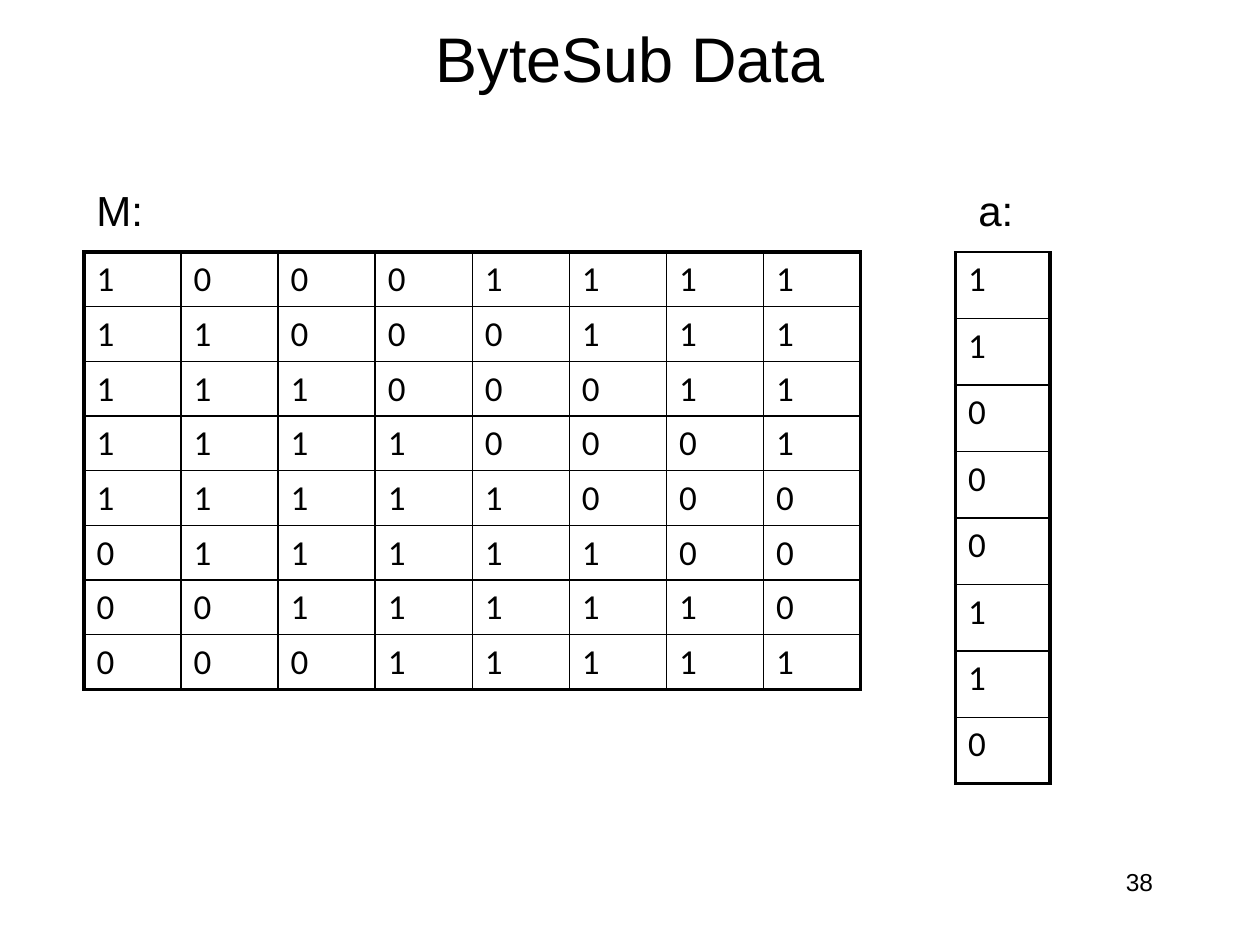
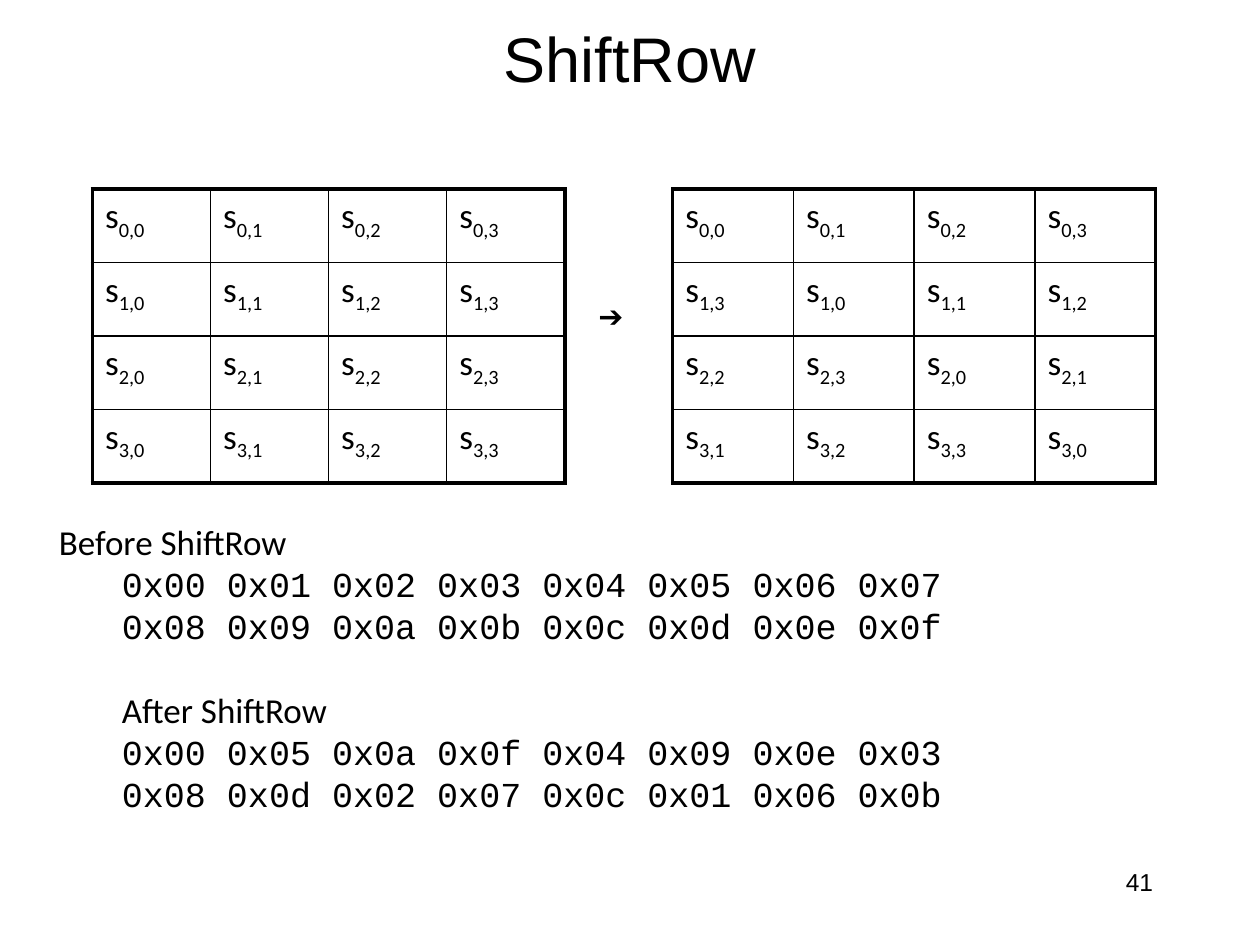
import pptx
import pptx.util
import pptx.dml.color
import pptx.enum.text
import pptx.oxml.ns
from lxml import etree

Pt = pptx.util.Pt
qn = pptx.oxml.ns.qn
align = pptx.enum.text.PP_ALIGN
hues = {"ink": "000000", "page": "FFFFFF"}
thin, thick = 1, 2.25


def style(para, face, size):
    para.font.name = face
    para.font.size = Pt(size)
    para.font.color.rgb = pptx.dml.color.RGBColor.from_string(hues["ink"])


def add_grid(slide, left, top, wide, high, rows, head=thick):
    """Draw a ruled table; a cell is a tuple of base text and optional subscript."""
    last, end = len(rows) - 1, len(rows[0]) - 1
    table = slide.shapes.add_table(
        last + 1, end + 1, Pt(left), Pt(top),
        Pt(wide * (end + 1)), Pt(high * (last + 1))).table
    table.first_row = table.horz_banding = False
    for col in table.columns:
        col.width = Pt(wide)
    for r, row in enumerate(rows):
        table.rows[r].height = Pt(high)
        for c, parts in enumerate(row):
            cell = table.cell(r, c)
            # Borders: heavy outside, light inside
            sides = {"lnL": thick if c == 0 else thin,
                     "lnR": thick if c == end else thin,
                     "lnT": head if r == 0 else thin,
                     "lnB": thick if r == last else thin}
            props = cell._tc.get_or_add_tcPr()
            for side, width in sides.items():
                line = etree.SubElement(props, qn("a:" + side), w=str(Pt(width)))
                fill = etree.SubElement(line, qn("a:solidFill"))
                etree.SubElement(fill, qn("a:srgbClr"), val=hues["ink"])
            cell.fill.background()
            # Text, with the second part lowered
            para = cell.text_frame.paragraphs[0]
            style(para, "Calibri", 20)
            for n, part in enumerate(parts):
                run = para.add_run()
                run.text = part
                if n:
                    run.font._element.set("baseline", "-25000")


deck = pptx.Presentation()
deck.slide_width, deck.slide_height = Pt(720), Pt(540)

# Shared parts: background, title, page number
slides = []
for name, page, top, high in [("ByteSub Data", "38", 0, 66),
                              ("ShiftRow", "41", 6, 54)]:
    slide = deck.slides.add_slide(deck.slide_layouts[5])
    slides.append(slide)
    back = slide.background.fill
    back.solid()
    back.fore_color.rgb = pptx.dml.color.RGBColor.from_string(hues["page"])

    title = slide.shapes.title
    title.left, title.top, title.width, title.height = Pt(54), Pt(top), Pt(612), Pt(high)
    frame = title.text_frame
    frame.text = name
    frame.auto_size = pptx.enum.text.MSO_AUTO_SIZE.NONE
    frame.vertical_anchor = pptx.enum.text.MSO_ANCHOR.MIDDLE
    frame.paragraphs[0].alignment = align.CENTER
    style(frame.paragraphs[0], "Arial", 36)

    frame = slide.shapes.add_textbox(Pt(516), Pt(492), Pt(150), Pt(36)).text_frame
    frame.word_wrap = True
    frame.text = page
    frame.paragraphs[0].alignment = align.RIGHT
    style(frame.paragraphs[0], "Arial", 14)

sub, shift = slides

# ByteSub: labels over the matrix and the vector
frame = sub.shapes.add_textbox(Pt(48), Pt(102), Pt(618), Pt(36)).text_frame
frame.word_wrap = True
para = frame.paragraphs[0]
para.text = "M:\ta:"
tabs = etree.SubElement(para._p.get_or_add_pPr(), qn("a:tabLst"))
etree.SubElement(tabs, qn("a:tab"), pos=str(Pt(504)), algn="l")
style(para, "Arial", 24)

# ByteSub: each matrix row is the first one rotated right
first = "10001111"
bits = [[(first[(c - r) % 8],) for c in range(8)] for r in range(8)]
add_grid(sub, 48, 144, 55.5, 31.25, bits)
add_grid(sub, 546, 144, 54, 38, [[(bit,)] for bit in "11000110"], head=thin)

# ShiftRow: state before and after, row r rotated right r times
for left, wide, step in [(52.8, 67.5, 0), (384.4, 69, 1)]:
    state = [[("s", f"{r},{(c - r * step) % 4}") for c in range(4)]
             for r in range(4)]
    add_grid(shift, left, 108, wide, 42, state)

# ShiftRow: arrow between the states
frame = shift.shapes.add_textbox(Pt(334.8), Pt(162), Pt(36), Pt(36)).text_frame
frame.word_wrap = True
frame.text = "➔"
style(frame.paragraphs[0], "Courier New", 24)

# ShiftRow: sample bytes; face, indent and gap above for each line
lines = [("Before ShiftRow", "Calibri", 0, 0),
         ("0x00 0x01 0x02 0x03 0x04 0x05 0x06 0x07", "Courier New", 36, 0),
         ("0x08 0x09 0x0a 0x0b 0x0c 0x0d 0x0e 0x0f", "Courier New", 36, 0),
         ("After ShiftRow", "Calibri", 36, 24),
         ("0x00 0x05 0x0a 0x0f 0x04 0x09 0x0e 0x03", "Courier New", 36, 0),
         ("0x08 0x0d 0x02 0x07 0x0c 0x01 0x06 0x0b", "Courier New", 36, 0)]
frame = shift.shapes.add_textbox(Pt(26.6), Pt(293.8), Pt(523.4), Pt(177)).text_frame
frame.word_wrap = False
for n, (text, face, dent, gap) in enumerate(lines):
    para = frame.add_paragraph() if n else frame.paragraphs[0]
    para.text = text
    para.line_spacing = Pt(24)
    if gap:
        para.space_before = Pt(gap)
    if dent:
        para._p.get_or_add_pPr().set("marL", str(Pt(dent)))
    style(para, face, 20)

deck.save("out.pptx")
